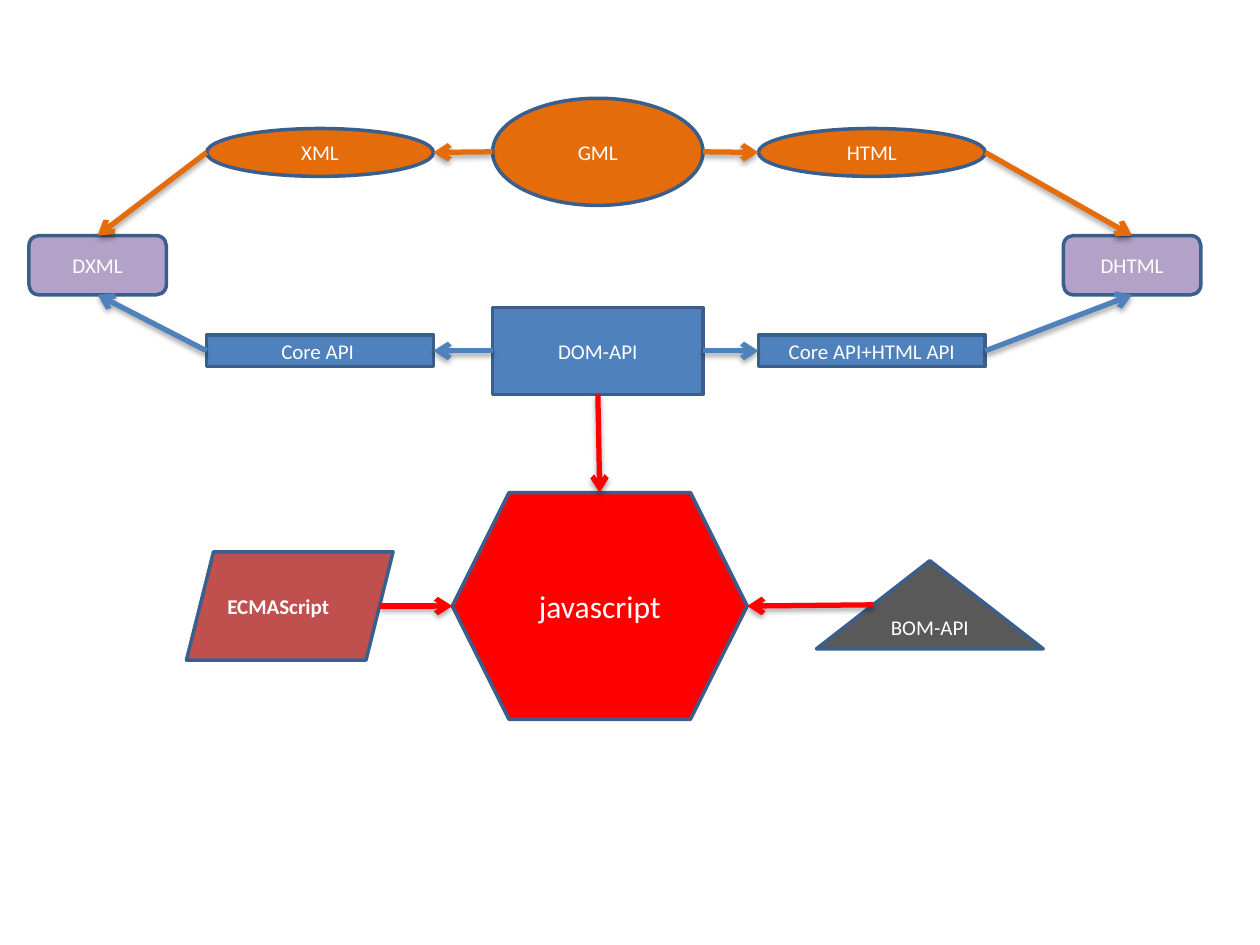
from lxml import etree
from pptx import Presentation
from pptx.dml.color import RGBColor
from pptx.enum.shapes import MSO_CONNECTOR, MSO_SHAPE
from pptx.enum.text import MSO_ANCHOR, PP_ALIGN
from pptx.oxml import parse_xml
from pptx.oxml.ns import qn
from pptx.util import Inches, Pt

ORANGE, BLUE, PURPLE, RED = "E46C0A", "4F81BD", "B3A2C7", "FF0000"
BRICK, GREY, OUTLINE, WHITE = "C0504D", "595959", "3A5F8C", "FFFFFF"

# Nodes: label, shape, fill, (left, top, width, height)
NODES = [
    ("GML", MSO_SHAPE.OVAL, ORANGE, (3.91, 0.78, 1.67, 0.85)),
    ("XML", MSO_SHAPE.OVAL, ORANGE, (1.64, 1.02, 1.8, 0.38)),
    ("HTML", MSO_SHAPE.OVAL, ORANGE, (6.02, 1.02, 1.8, 0.38)),
    ("DXML", MSO_SHAPE.ROUNDED_RECTANGLE, PURPLE, (0.23, 1.87, 1.09, 0.47)),
    ("DHTML", MSO_SHAPE.ROUNDED_RECTANGLE, PURPLE, (8.44, 1.87, 1.09, 0.47)),
    ("DOM-API", MSO_SHAPE.RECTANGLE, BLUE, (3.91, 2.44, 1.67, 0.69)),
    ("Core API ", MSO_SHAPE.RECTANGLE, BLUE, (1.64, 2.66, 1.8, 0.25)),
    ("Core API+HTML API", MSO_SHAPE.RECTANGLE, BLUE, (6.02, 2.66, 1.8, 0.25)),
    ("ECMAScript", MSO_SHAPE.PARALLELOGRAM, BRICK, (1.48, 4.38, 1.64, 0.86)),
    ("BOM-API", MSO_SHAPE.ISOSCELES_TRIANGLE, GREY, (6.48, 4.45, 1.8, 0.7)),
    ("javascript", MSO_SHAPE.HEXAGON, RED, (3.59, 3.91, 2.34, 1.8)),
]

# Arrows: start node, side, end node, side, colour
ARROWS = [
    ("GML", "left", "XML", "right", ORANGE),
    ("GML", "right", "HTML", "left", ORANGE),
    ("XML", "left", "DXML", "top", ORANGE),
    ("HTML", "right", "DHTML", "top", ORANGE),
    ("DOM-API", "left", "Core API ", "right", BLUE),
    ("DOM-API", "right", "Core API+HTML API", "left", BLUE),
    ("Core API ", "left", "DXML", "bottom", BLUE),
    ("Core API+HTML API", "right", "DHTML", "bottom", BLUE),
    ("DOM-API", "bottom", "javascript", "top", RED),
    ("ECMAScript", "right", "javascript", "left", RED),
    ("BOM-API", "left", "javascript", "right", RED),
]

SIDES = {"left": (0, 0.5), "right": (1, 0.5), "top": (0.5, 0), "bottom": (0.5, 1)}
SLANT_INSET = {"ECMAScript": -0.1, "BOM-API": 0.45}  # midpoints of slanted sides

ARROW_SHADOW = (
    '<a:effectLst xmlns:a="http://schemas.openxmlformats.org/drawingml/2006/main">'
    '<a:outerShdw blurRad="40000" dist="23000" dir="5400000" rotWithShape="0">'
    '<a:srgbClr val="000000"><a:alpha val="35000"/></a:srgbClr>'
    '</a:outerShdw></a:effectLst>')


def rgb(colour):
    return RGBColor.from_string(colour)


def add_node(slide, label, kind, fill, box):
    node = slide.shapes.add_shape(kind, *map(Inches, box))
    node.shadow.inherit = False
    node.fill.solid()
    node.fill.fore_color.rgb = rgb(fill)
    node.line.color.rgb = rgb(OUTLINE)
    node.line.width = Pt(2)
    frame = node.text_frame
    frame.text = label
    frame.vertical_anchor = MSO_ANCHOR.MIDDLE
    paragraph = frame.paragraphs[0]
    paragraph.alignment = PP_ALIGN.LEFT if label == "ECMAScript" else PP_ALIGN.CENTER
    font = paragraph.runs[0].font
    font.name = "Calibri"
    font.size = Pt(18 if label == "javascript" else 12)
    font.bold = label == "ECMAScript"
    font.color.rgb = rgb(WHITE)


def anchor(label, side):
    left, top, width, height = BOXES[label]
    across, down = SIDES[side]
    x = left + across * width + SLANT_INSET.get(label, 0)
    return Inches(x), Inches(top + down * height)


def add_arrow(slide, start, start_side, end, end_side, colour):
    arrow = slide.shapes.add_connector(
        MSO_CONNECTOR.STRAIGHT, *anchor(start, start_side), *anchor(end, end_side))
    arrow.line.color.rgb = rgb(colour)
    arrow.line.width = Pt(3)
    etree.SubElement(arrow.line._get_or_add_ln(), qn("a:tailEnd"), type="arrow")
    arrow._element.spPr.append(parse_xml(ARROW_SHADOW))


BOXES = {label: box for label, _, _, box in NODES}

prs = Presentation()
prs.slide_width, prs.slide_height = Inches(10), Inches(7.5)
diagram = prs.slides.add_slide(prs.slide_layouts[6])

for node_row in NODES:
    add_node(diagram, *node_row)
for arrow_row in ARROWS:
    add_arrow(diagram, *arrow_row)

prs.save("out.pptx")
